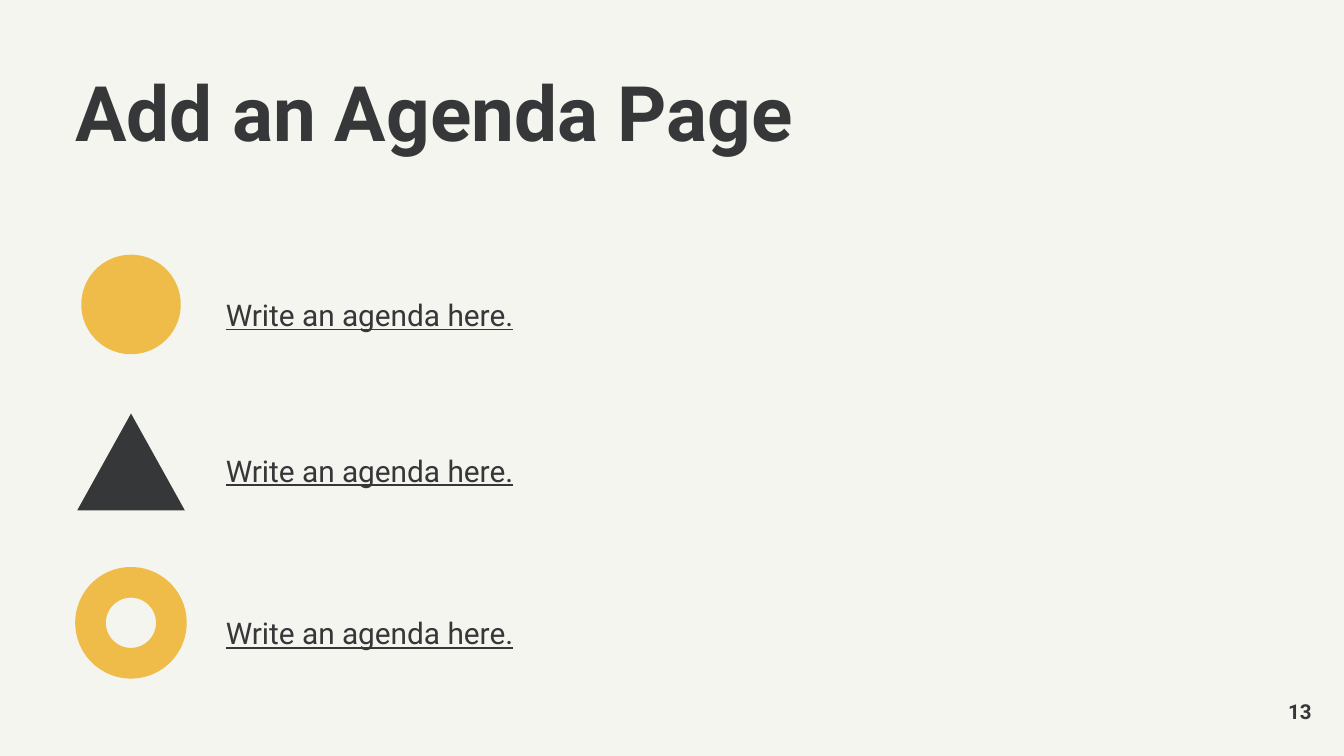
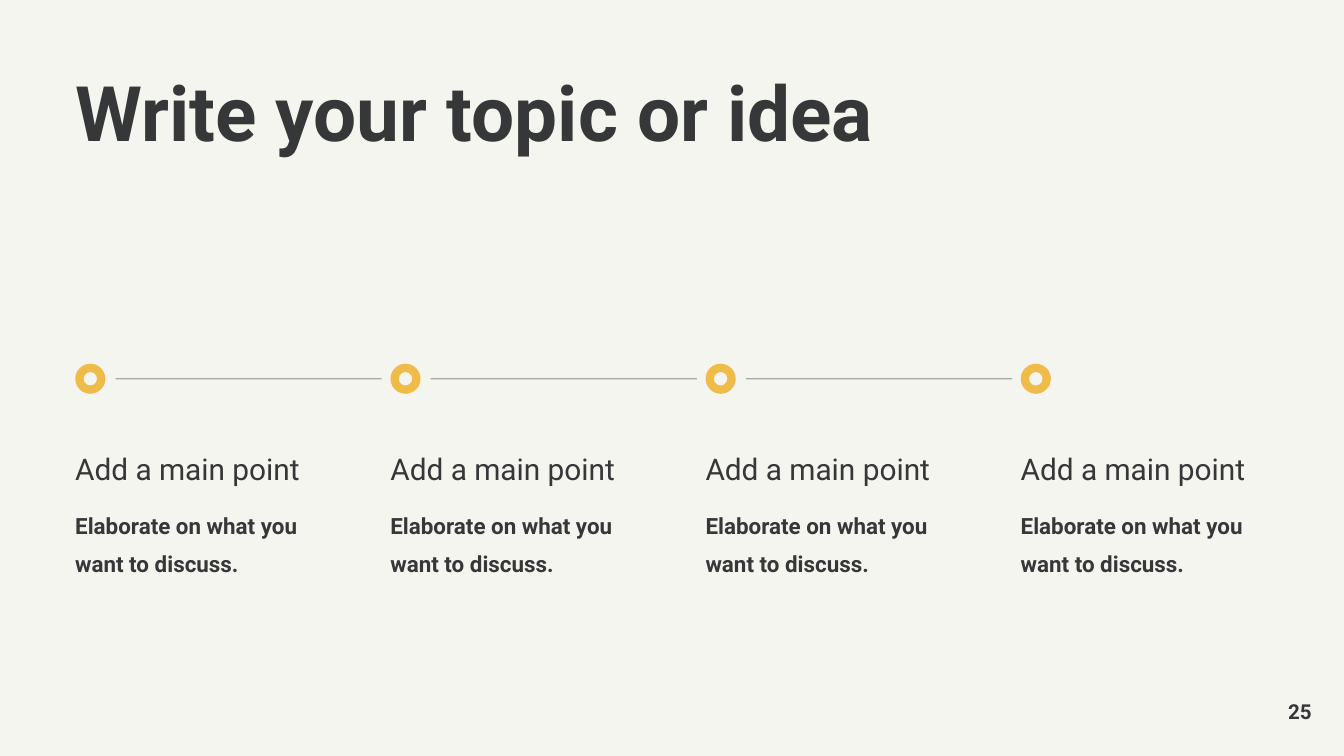
from dataclasses import dataclass
from typing import Any, Optional

from lxml import etree
from pptx import Presentation
from pptx import util as u
from pptx.dml.color import RGBColor
from pptx.enum import shapes, text
from pptx.oxml import ns

INK = RGBColor(0x36, 0x37, 0x39)
GOLD = RGBColor(0xEF, 0xBC, 0x49)
PAPER = RGBColor(0xF5, 0xF5, 0xEF)
FONT = "Roboto"

SLIDE_W = u.Inches(10)
SLIDE_H = SLIDE_W * 9 // 16

# Lengths are percentages of the slide's width (across) and height (down).
MARGIN = 5.6
RING_THICKNESS = 0.275

ICON_CENTRE = 9.75
AGENDA_LEFT, AGENDA_WIDTH = 16.8, 42.9
LINE_HEIGHT = 4.8

STEP_COUNT, STEP_PITCH, STEP_WIDTH = 4, 23.45, 18.4
TRACK_Y = 50.1
MARKER_SIZE = 2.24
LINK_START, LINK_END = 3.0, 22.8
LINK_OPACITY = 39


@dataclass(frozen=True)
class Box:
    left: float
    top: float
    width: float
    height: float

    def emu(self) -> tuple[int, int, int, int]:
        return (across(self.left), down(self.top),
                across(self.width), down(self.height))


@dataclass(frozen=True)
class AgendaItem:
    icon: shapes.MSO_SHAPE
    colour: RGBColor
    icon_top: float
    icon_width: float
    icon_height: float
    text_top: float
    label: str = "Write an agenda here."


@dataclass(frozen=True)
class Step:
    heading: str = "Add a main point"
    detail: str = "Elaborate on what you want to discuss."


TITLE_BOX = Box(MARGIN, 9.96, 70.9, 14.04)
NUMBER_BOX = Box(91.6, 92.27, 6, 3.56)

AGENDA = (
    AgendaItem(shapes.MSO_SHAPE.OVAL, GOLD, 33.7, 7.4, 13.16, 37.33),
    AgendaItem(shapes.MSO_SHAPE.ISOSCELES_TRIANGLE, INK, 54.7, 8, 12.8, 57.96),
    AgendaItem(shapes.MSO_SHAPE.DONUT, GOLD, 75, 8.3, 14.76, 79.47),
)
STEPS = (Step(),) * STEP_COUNT


def across(share: float) -> int:
    return round(SLIDE_W * share / 100)


def down(share: float) -> int:
    return round(SLIDE_H * share / 100)


def write(tf: Any, content: str, *, size: float, bold: bool = False,
          underline: bool = False, spacing: Optional[float] = None,
          align: text.PP_ALIGN = text.PP_ALIGN.LEFT,
          anchor: text.MSO_ANCHOR = text.MSO_ANCHOR.TOP,
          fit: text.MSO_AUTO_SIZE = text.MSO_AUTO_SIZE.NONE) -> None:
    """Fill a text frame with one formatted paragraph and no insets."""
    tf.margin_left = tf.margin_top = tf.margin_right = tf.margin_bottom = 0
    tf.word_wrap = True
    tf.auto_size = fit
    tf.vertical_anchor = anchor
    p = tf.paragraphs[0]
    p.alignment = align
    if spacing:
        p.line_spacing = spacing
    r = p.add_run()
    r.text = content
    r.font.name = FONT
    r.font.size = u.Pt(size)
    r.font.bold = bold
    r.font.underline = underline or None
    r.font.color.rgb = INK


def add_body(parent: Any, box: Box, content: str, **style: Any) -> None:
    """Add a text box that grows with its text."""
    tf = parent.add_textbox(*box.emu()).text_frame
    write(tf, content, spacing=1.4,
          fit=text.MSO_AUTO_SIZE.SHAPE_TO_FIT_TEXT, **style)


def add_icon(s: Any, kind: shapes.MSO_SHAPE, box: Box, colour: RGBColor) -> None:
    sp = s.shapes.add_shape(kind, *box.emu())
    sp.shadow.inherit = False
    sp.fill.solid()
    sp.fill.fore_color.rgb = colour
    sp.line.fill.background()
    if kind == shapes.MSO_SHAPE.DONUT:
        sp.adjustments[0] = RING_THICKNESS


def add_link(s: Any, start: float, end: float) -> None:
    """Draw a thin translucent line along the timeline track."""
    line = s.shapes.add_connector(
        shapes.MSO_CONNECTOR.STRAIGHT,
        across(start), down(TRACK_Y), across(end), down(TRACK_Y))
    line.line.width = u.Pt(0.75)
    line.line.color.rgb = INK
    props = line._element.spPr
    colour = props.find(".//" + ns.qn("a:srgbClr"))
    etree.SubElement(colour, ns.qn("a:alpha"), val=str(LINK_OPACITY * 1000))
    etree.SubElement(props, ns.qn("a:effectLst"))


def add_slide(prs: Any, title: str, number: int) -> Any:
    s = prs.slides.add_slide(prs.slide_layouts.get_by_name("Title Only"))
    sp = s.shapes.title
    sp.left, sp.top, sp.width, sp.height = TITLE_BOX.emu()
    write(sp.text_frame, title, size=41, bold=True, spacing=0.9)
    sp = s.shapes.add_textbox(*NUMBER_BOX.emu())
    write(sp.text_frame, str(number), size=11, bold=True,
          align=text.PP_ALIGN.RIGHT, anchor=text.MSO_ANCHOR.MIDDLE)
    return s


def build_agenda(prs: Any) -> None:
    s = add_slide(prs, "Add an Agenda Page", 13)
    for item in AGENDA:
        icon_box = Box(ICON_CENTRE - item.icon_width / 2, item.icon_top,
                       item.icon_width, item.icon_height)
        add_icon(s, item.icon, icon_box, item.colour)
        add_body(s.shapes,
                 Box(AGENDA_LEFT, item.text_top, AGENDA_WIDTH, LINE_HEIGHT),
                 item.label, size=16, underline=True)


def build_timeline(prs: Any) -> None:
    s = add_slide(prs, "Write your topic or idea", 25)
    marker_height = MARKER_SIZE * SLIDE_W / SLIDE_H
    for i, step in enumerate(STEPS):
        left = MARGIN + i * STEP_PITCH
        add_icon(s, shapes.MSO_SHAPE.DONUT,
                 Box(left, TRACK_Y - marker_height / 2,
                     MARKER_SIZE, marker_height), GOLD)
        if i < len(STEPS) - 1:
            add_link(s, left + LINK_START, left + LINK_END)
        group = s.shapes.add_group_shape().shapes
        add_body(group, Box(left, 57.78, STEP_WIDTH, LINE_HEIGHT),
                 step.heading, size=16)
        add_body(group, Box(left, 66.31, STEP_WIDTH, 8.53),
                 step.detail, size=12, bold=True)


def main() -> None:
    prs = Presentation()
    prs.slide_width, prs.slide_height = SLIDE_W, SLIDE_H
    fill = prs.slide_master.background.fill
    fill.solid()
    fill.fore_color.rgb = PAPER
    build_agenda(prs)
    build_timeline(prs)
    prs.save("out.pptx")


if __name__ == "__main__":
    main()
